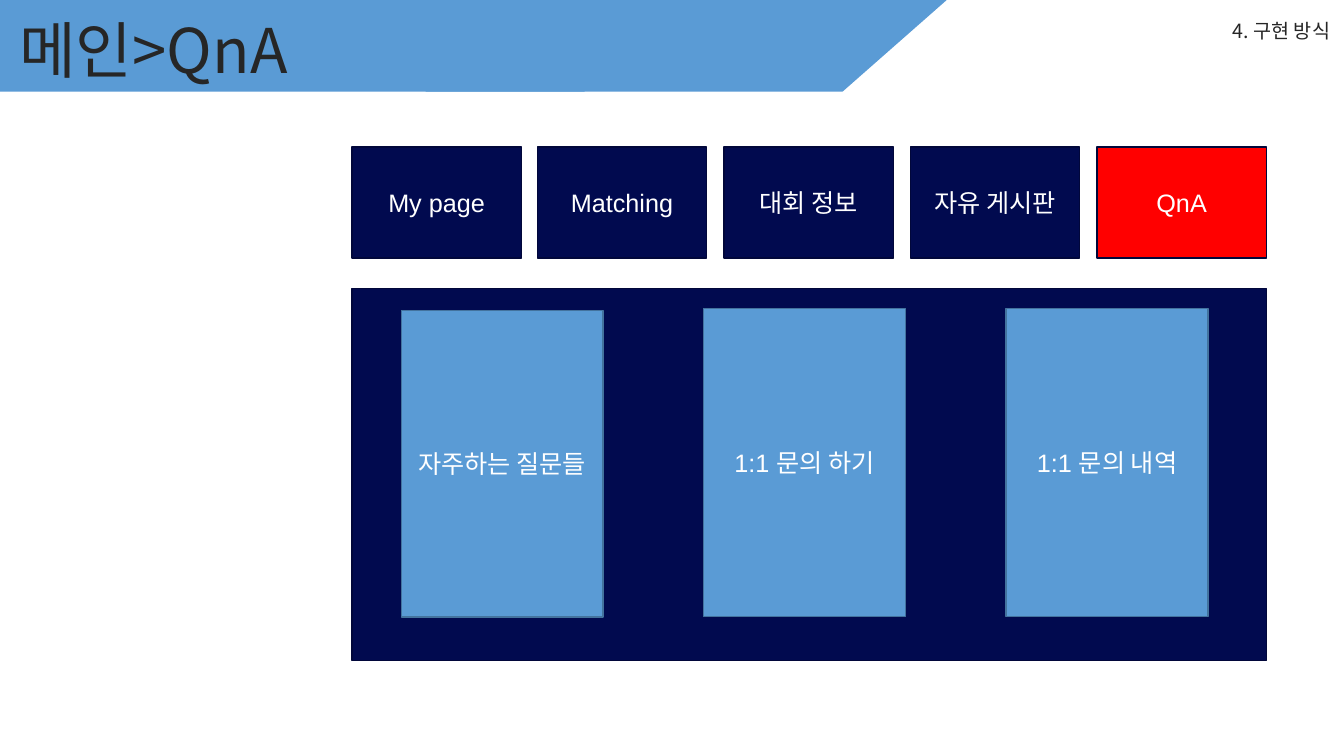
from dataclasses import dataclass

from lxml.etree import SubElement
from pptx import Presentation
from pptx.dml.color import RGBColor
from pptx.enum.shapes import MSO_SHAPE
from pptx.enum.text import MSO_ANCHOR, MSO_AUTO_SIZE, PP_ALIGN
from pptx.oxml.ns import qn
from pptx.util import Emu, Pt

PX = 9144  # 100 px to the inch


@dataclass(frozen=True)
class Theme:
    blue: str = "5A9BD5"
    blue_edge: str = "43739E"
    navy: str = "010A4F"
    navy_edge: str = "01073A"
    red: str = "FF0000"
    white: str = "FFFFFF"
    ink: str = "262626"
    latin: str = "Arial"
    korean: str = "Noto Sans CJK KR"
    title: int = 44
    label: int = 18
    section: int = 14


def px(*lengths):
    return [Emu(n * PX) for n in lengths]


class SlideBuilder:
    def __init__(self, prs, theme):
        self.theme = theme
        self.s = prs.slides.add_slide(prs.slide_layouts[5])

    def add_text(self, tf, text, size, color, font, align):
        tf.vertical_anchor = MSO_ANCHOR.MIDDLE
        p = tf.paragraphs[0]
        p.alignment = align
        r = p.add_run()
        r.text = text
        r.font.size = Pt(size)
        r.font.name = font
        r.font.color.rgb = RGBColor.from_string(color)
        SubElement(r.font._element, qn("a:ea"), typeface=self.theme.korean)

    def shape(self, box, fill, edge=None, text=None, kind=MSO_SHAPE.RECTANGLE):
        sp = self.s.shapes.add_shape(kind, *px(*box))
        sp.shadow.inherit = False
        sp.fill.solid()
        sp.fill.fore_color.rgb = RGBColor.from_string(fill)
        if edge:
            sp.line.color.rgb = RGBColor.from_string(edge)
            sp.line.width = Pt(1)
        else:
            sp.line.fill.background()
        if text:
            t = self.theme
            self.add_text(sp.text_frame, text, t.label, t.white, t.latin, PP_ALIGN.CENTER)

    def title(self, box, text):
        """Fill the title placeholder and bring it in front of the banner."""
        t, sp = self.theme, self.s.shapes.title
        sp.left, sp.top, sp.width, sp.height = px(*box)
        tf = sp.text_frame
        tf.word_wrap = True
        tf.auto_size = MSO_AUTO_SIZE.NONE
        self.add_text(tf, text, t.title, t.ink, t.korean, PP_ALIGN.LEFT)
        sp.element.getparent().append(sp.element)

    def section(self, box, text):
        t = self.theme
        tf = self.s.shapes.add_textbox(*px(*box)).text_frame
        tf.word_wrap = True
        self.add_text(tf, text, t.section, t.ink, t.korean, PP_ALIGN.CENTER)


def main():
    prs = Presentation()
    prs.slide_width, prs.slide_height = px(1333, 750)
    t = Theme()
    b = SlideBuilder(prs, t)

    left, right, tab_width = 349, 1256, 168
    tabs = ["My page", "Matching", "대회 정보", "자유 게시판", "QnA"]
    current = "QnA"
    travel = right - tab_width - left
    for i, name in enumerate(tabs):
        x = left + i * travel // (len(tabs) - 1)
        fill = t.red if name == current else t.navy
        b.shape((x, 146, tab_width, 110), fill, t.navy_edge, name)

    b.shape((left, 286, right - left, 369), t.navy, t.navy_edge)
    cards = [("자주하는 질문들", 308), ("1:1 문의 하기", 306), ("1:1 문의 내역", 306)]
    for i, (name, top) in enumerate(cards):
        b.shape((398 + i * 300, top, 200, 612 - top), t.blue, t.blue_edge, name)

    b.shape((422, 0, 517, 91), t.blue, kind=MSO_SHAPE.FLOWCHART_DATA)
    b.shape((0, 0, 580, 91), t.blue)
    b.title((9, 6, 424, 84), "메인>QnA")
    b.section((1146, 13, 250, 34), "4. 구현 방식")

    prs.save("out.pptx")


if __name__ == "__main__":
    main()
